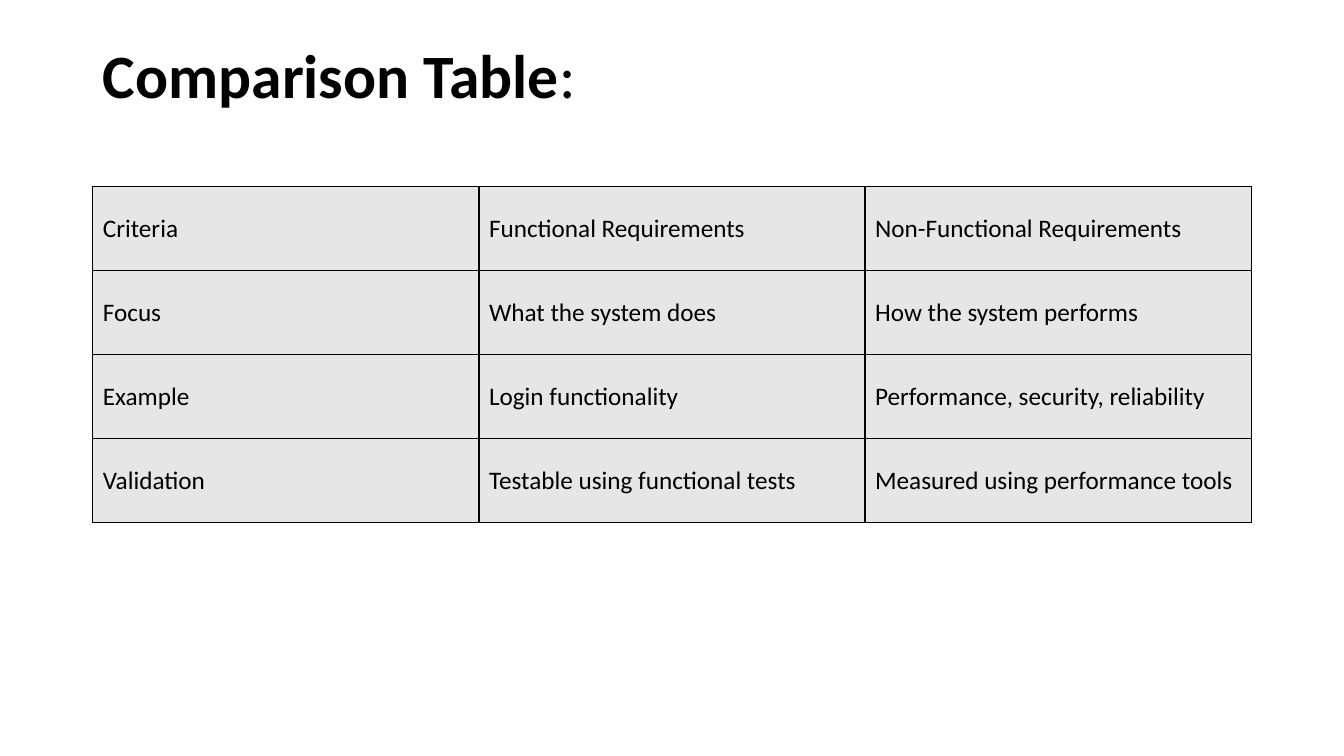
from lxml import etree
from pptx import Presentation
from pptx.dml.color import RGBColor
from pptx.enum.text import MSO_ANCHOR, PP_ALIGN
from pptx.oxml.ns import qn
from pptx.util import Inches, Pt

TITLE = (("Comparison Table", True), (":", False))
ROWS = (
    ("Criteria", "Functional Requirements", "Non-Functional Requirements"),
    ("Focus", "What the system does", "How the system performs"),
    ("Example", "Login functionality", "Performance, security, reliability"),
    ("Validation", "Testable using functional tests", "Measured using performance tools"),
)

BLACK = RGBColor(0x00, 0x00, 0x00)
LIGHT_GREY = RGBColor(0xE7, 0xE6, 0xE6)
FONT = "Calibri"
TITLE_SIZE, CELL_SIZE = Pt(44), Pt(18)
TOP, MIDDLE = MSO_ANCHOR.TOP, MSO_ANCHOR.MIDDLE
LEFT = PP_ALIGN.LEFT

SLIDE_WIDTH, SLIDE_HEIGHT = Inches(13.33), Inches(7.5)
MARGIN = Inches(0.92)
CONTENT_WIDTH = SLIDE_WIDTH - 2 * MARGIN
TITLE_TOP, TITLE_HEIGHT = Inches(0.4), Inches(1.45)
TABLE_TOP = TITLE_TOP + TITLE_HEIGHT
ROW_HEIGHT = SLIDE_HEIGHT // 9
BORDER_WIDTH = Pt(1)


def add_run(paragraph, text, size, bold=False):
    run = paragraph.add_run()
    run.text = text
    for name, value in {"name": FONT, "size": size, "bold": bold}.items():
        setattr(run.font, name, value)
    run.font.color.rgb = BLACK


def add_borders(cell):
    """Outline all four sides; borders must precede the fill in the cell XML."""
    properties = cell._tc.get_or_add_tcPr()
    for index, side in enumerate(("a:lnL", "a:lnR", "a:lnT", "a:lnB")):
        line = etree.Element(qn(side), w=str(BORDER_WIDTH))
        fill = etree.SubElement(line, qn("a:solidFill"))
        etree.SubElement(fill, qn("a:srgbClr"), val=str(BLACK))
        properties.insert(index, line)


def add_title(slide):
    title = slide.shapes.title
    box = {"left": MARGIN, "top": TITLE_TOP, "width": CONTENT_WIDTH, "height": TITLE_HEIGHT}
    for name, value in box.items():
        setattr(title, name, value)
    title.text_frame.vertical_anchor = TOP
    paragraph = title.text_frame.paragraphs[0]
    paragraph.alignment = LEFT
    paragraph.line_spacing = 0.9
    for text, bold in TITLE:
        add_run(paragraph, text, TITLE_SIZE, bold)


def add_comparison_table(slide):
    table = slide.shapes.add_table(
        len(ROWS), len(ROWS[0]), MARGIN, TABLE_TOP, CONTENT_WIDTH, ROW_HEIGHT * len(ROWS)
    ).table
    table.first_row = table.horz_banding = False
    for row_index, row in enumerate(ROWS):
        for column_index, text in enumerate(row):
            cell = table.cell(row_index, column_index)
            cell.vertical_anchor = MIDDLE
            cell.fill.solid()
            cell.fill.fore_color.rgb = LIGHT_GREY
            add_borders(cell)
            add_run(cell.text_frame.paragraphs[0], text, CELL_SIZE)


def main():
    presentation = Presentation()
    presentation.slide_width, presentation.slide_height = SLIDE_WIDTH, SLIDE_HEIGHT
    title_only = presentation.slide_layouts[5]
    slide = presentation.slides.add_slide(title_only)
    add_title(slide)
    add_comparison_table(slide)
    presentation.save("out.pptx")


if __name__ == "__main__":
    main()
